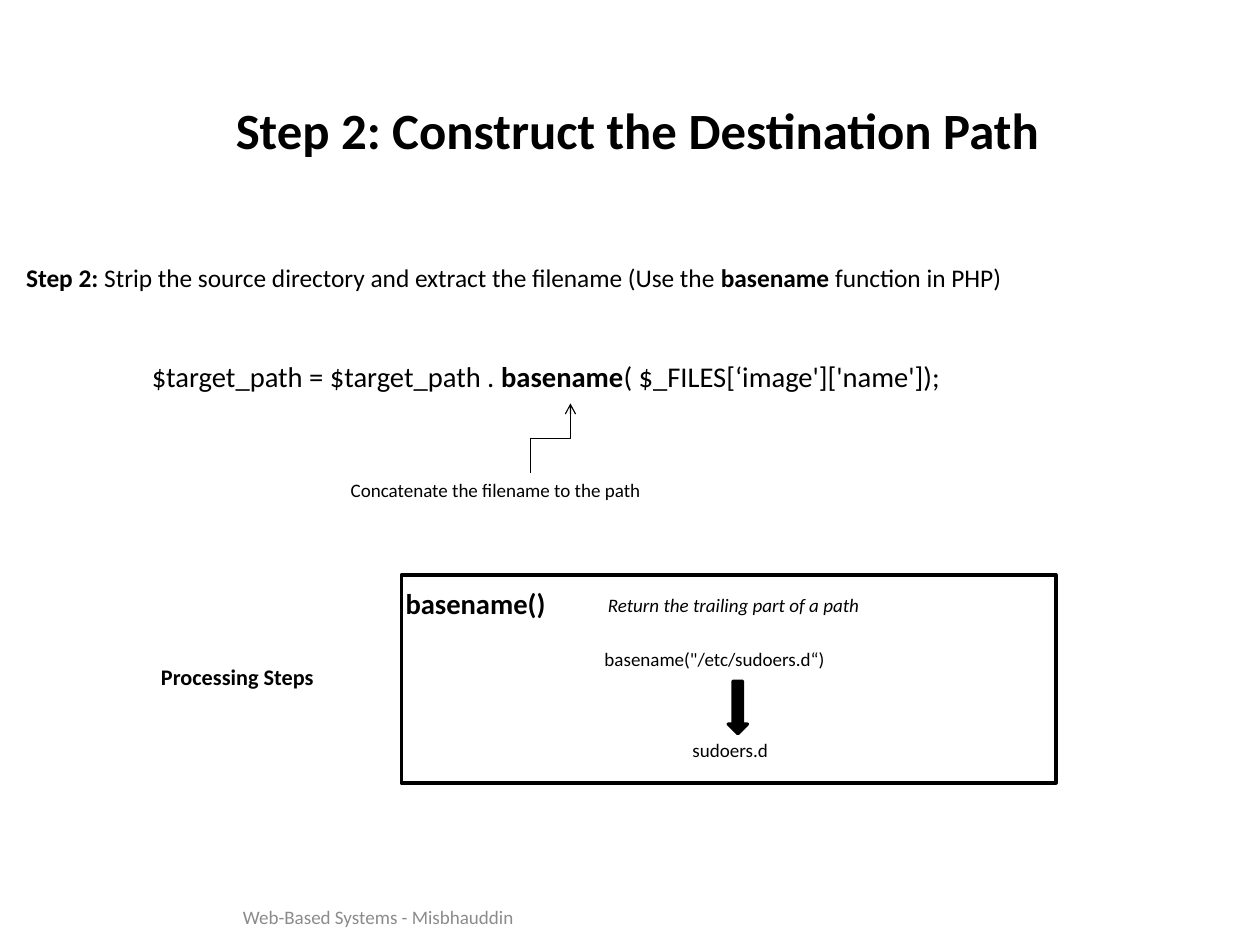
"""Build the slide on constructing the destination path of an upload."""
from dataclasses import dataclass

from lxml import etree
from pptx import Presentation
from pptx.dml.color import RGBColor
from pptx.enum.shapes import MSO_CONNECTOR, MSO_SHAPE
from pptx.enum.text import MSO_ANCHOR, PP_ALIGN
from pptx.oxml.ns import qn
from pptx.slide import Slide
from pptx.util import Inches, Pt

LEFT, CENTER = PP_ALIGN.LEFT, PP_ALIGN.CENTER
TOP, MIDDLE = MSO_ANCHOR.TOP, MSO_ANCHOR.MIDDLE
RECTANGLE, DOWN_ARROW = MSO_SHAPE.RECTANGLE, MSO_SHAPE.DOWN_ARROW
ELBOW = MSO_CONNECTOR.ELBOW
QUARTER_TURN = 90 * 60000
CM_PER_INCH = 2.54
PAGE_WIDTH, PAGE_HEIGHT = Inches(28 / CM_PER_INCH), Inches(21 / CM_PER_INCH)


@dataclass(frozen=True)
class Theme:
    """Font, colours, type sizes and line widths of the slide."""
    font: str = "Calibri"
    ink: RGBColor = RGBColor(0, 0, 0)
    paper: RGBColor = RGBColor(255, 255, 255)
    muted: RGBColor = RGBColor(0x8B, 0x8B, 0x8B)
    title: float = 32
    code: float = 18
    body: float = 16
    label: float = 14
    small: float = 12
    outline: float = 2
    pointer: float = 0.75


THEME = Theme()


@dataclass(frozen=True)
class Run:
    """A stretch of text with one weight and slant."""
    text: str
    bold: bool = False
    italic: bool = False


@dataclass(frozen=True)
class Caption:
    """A one-line text with its box in inches."""
    box: tuple[float, float, float, float]
    runs: tuple[Run, ...]
    size: float
    color: RGBColor = THEME.ink
    align: PP_ALIGN = LEFT
    anchor: MSO_ANCHOR = TOP


@dataclass(frozen=True)
class Block:
    """An outlined preset shape with its box in inches."""
    box: tuple[float, float, float, float]
    preset: MSO_SHAPE
    fill: RGBColor


BLOCKS = (
    Block((3.51, 5.03, 5.73, 1.82), RECTANGLE, THEME.paper),
    Block((6.37, 5.96, 0.17, 0.46), DOWN_ARROW, THEME.ink),
)

CAPTIONS = (
    Caption((1.49, 0.65, 8.18, 0.96),
            (Run("Step 2: Construct the Destination Path", bold=True),),
            THEME.title, align=CENTER, anchor=MIDDLE),
    Caption((0.13, 2.24, 10.99, 0.36),
            (Run("Step 2: ", bold=True),
             Run("Strip the source directory and extract the filename (Use the "),
             Run("basename", bold=True),
             Run(" function in PHP)")),
            THEME.body),
    Caption((1.23, 3.09, 8.96, 0.4),
            (Run("$target_path = $target_path . "),
             Run("basename", bold=True),
             Run("( $_FILES[‘image']['name']);")),
            THEME.code),
    Caption((2.97, 4.14, 3.34, 0.3),
            (Run("Concatenate the filename to the path"),), THEME.small),
    Caption((1.31, 5.75, 2.09, 0.33),
            (Run("Processing Steps", bold=True),), THEME.label),
    Caption((3.45, 5.08, 1.87, 0.4),
            (Run("basename()", bold=True),), THEME.code),
    Caption((5.22, 5.14, 2.9, 0.3),
            (Run("Return the trailing part of a path", italic=True),), THEME.small),
    Caption((5.19, 5.62, 2.55, 0.3),
            (Run('basename("/etc/sudoers.d“)'),), THEME.small),
    Caption((5.96, 6.41, 1.01, 0.3), (Run("sudoers.d"),), THEME.small),
    Caption((0.37, 7.8, 5.88, 0.44),
            (Run("Web-Based Systems - Misbhauddin"),),
            THEME.small, color=THEME.muted, align=CENTER, anchor=MIDDLE),
)


def draw_block(slide: Slide, block: Block) -> None:
    """Draw a filled shape with the common outline."""
    shape = slide.shapes.add_shape(block.preset, *map(Inches, block.box))
    shape.shadow.inherit = False
    shape.fill.solid()
    shape.fill.fore_color.rgb = block.fill
    shape.line.color.rgb = THEME.ink
    shape.line.width = Pt(THEME.outline)


def draw_caption(slide: Slide, caption: Caption) -> None:
    """Draw a caption run by run."""
    frame = slide.shapes.add_textbox(*map(Inches, caption.box)).text_frame
    frame.word_wrap = True
    frame.vertical_anchor = caption.anchor
    paragraph = frame.paragraphs[0]
    paragraph.alignment = caption.align
    for part in caption.runs:
        run = paragraph.add_run()
        run.text = part.text
        run.font.color.rgb = caption.color
        formats = {"name": THEME.font, "size": Pt(caption.size),
                   "bold": part.bold, "italic": part.italic}
        for attribute, value in formats.items():
            setattr(run.font, attribute, value)


def draw_pointer(slide: Slide, start: tuple[float, float],
                 end: tuple[float, float]) -> None:
    """Draw an elbow arrow that leaves upward from start and rises to end."""
    center_x, center_y = (start[0] + end[0]) / 2, (start[1] + end[1]) / 2
    half_run, half_rise = (end[0] - start[0]) / 2, (start[1] - end[1]) / 2
    pointer = slide.shapes.add_connector(
        ELBOW,
        Inches(center_x + half_rise), Inches(center_y + half_run),
        Inches(center_x - half_rise), Inches(center_y - half_run))
    pointer.line.color.rgb = THEME.ink
    pointer.line.width = Pt(THEME.pointer)
    properties = pointer._element.spPr
    properties.find(qn("a:xfrm")).set("rot", str(QUARTER_TURN))
    etree.SubElement(properties.find(qn("a:ln")), qn("a:tailEnd"), type="arrow")
    etree.SubElement(properties, qn("a:effectLst"))


def build() -> None:
    """Assemble and save the slide."""
    deck = Presentation()
    deck.slide_width = PAGE_WIDTH
    deck.slide_height = PAGE_HEIGHT
    slide = deck.slides.add_slide(deck.slide_layouts[6])
    for block in BLOCKS:
        draw_block(slide, block)
    for caption in CAPTIONS:
        draw_caption(slide, caption)
    draw_pointer(slide, start=(4.64, 4.14), end=(4.99, 3.53))
    deck.save("out.pptx")


build()
